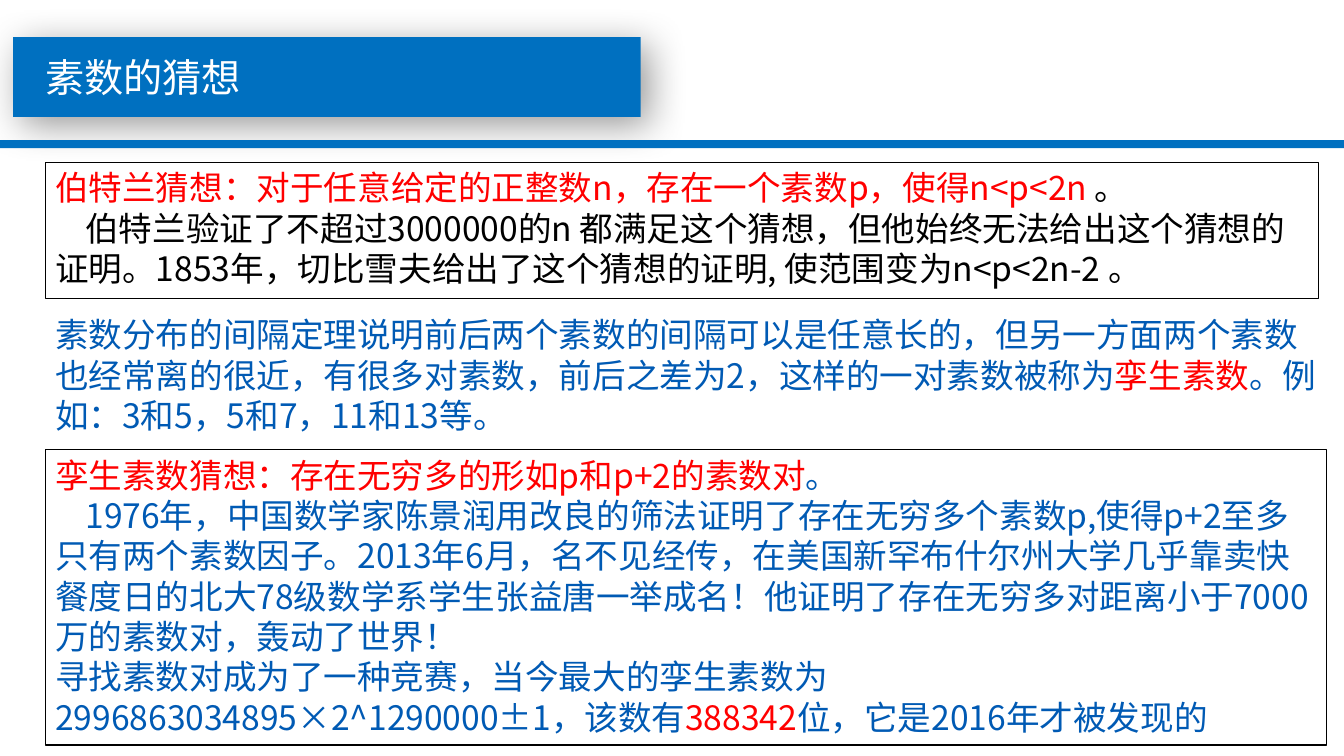
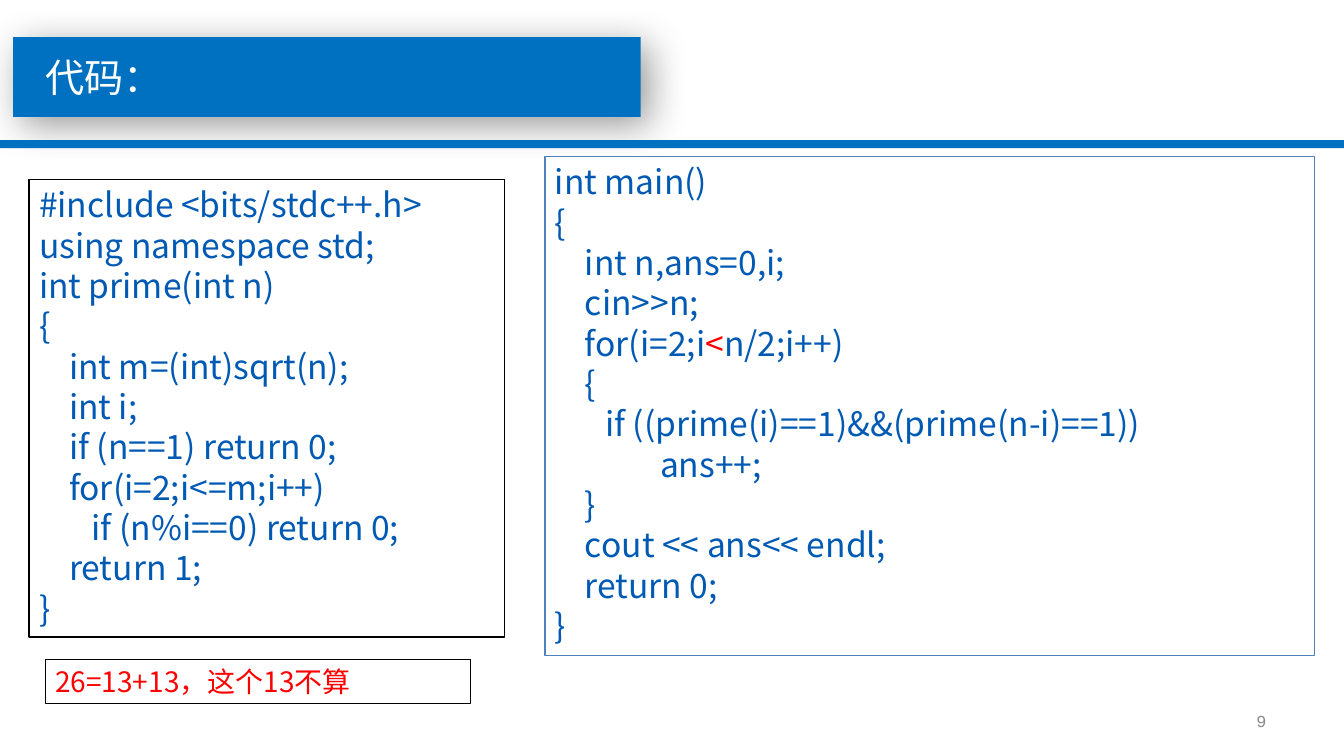
from lxml import etree
from pptx import Presentation
from pptx import util as u
from pptx.dml.color import RGBColor
from pptx.enum import shapes, text
from pptx.oxml.ns import qn

BAND = RGBColor(0x00, 0x70, 0xC0)
BLUE = RGBColor(0x00, 0x5A, 0xB4)
STEEL = RGBColor(0x4F, 0x81, 0xBD)
RED = RGBColor(0xFF, 0x00, 0x00)
BLACK = RGBColor(0x00, 0x00, 0x00)
WHITE = RGBColor(0xFF, 0xFF, 0xFF)
GREY = RGBColor(0x89, 0x89, 0x89)
SANS, MONO = "Noto Sans CJK SC", "Courier New"
LEFT, WIDE = 3.37, 95.35  # text margin and full text width, % of slide width
INDENT = u.Inches(0.3)

prs = Presentation()
prs.slide_width, prs.slide_height = u.Inches(13.34), u.Inches(7.5)


def add_rect(s, at, fill=None, line=None):
    """Add a rectangle placed in percent of the slide's width and height."""
    x, y, w, h = at
    sp = s.shapes.add_shape(
        shapes.MSO_SHAPE.RECTANGLE,
        int(prs.slide_width * x / 100), int(prs.slide_height * y / 100),
        int(prs.slide_width * w / 100), int(prs.slide_height * h / 100))
    sp.shadow.inherit = False
    for part, color in ((sp.fill, fill), (sp.line.fill, line)):
        if color is None:
            part.background()
        else:
            part.solid()
            part.fore_color.rgb = color
    if line is not None:
        sp.line.width = u.Pt(1)
    return sp


def add_text(s, at, paras, line=None, size=24, color=BLUE, font=SANS,
             align=text.PP_ALIGN.LEFT, indents=(), frame=None):
    """Add a text box; a run is a string or a (string, format) pair."""
    tf = add_rect(s, at, line=line).text_frame
    frame_format = {"word_wrap": True, "vertical_anchor": text.MSO_ANCHOR.TOP}
    for name, value in (frame_format | (frame or {})).items():
        setattr(tf, name, value)
    for i, runs in enumerate(paras):
        p = tf.paragraphs[0] if i == 0 else tf.add_paragraph()
        p.alignment, p.line_spacing = align, u.Pt(size * 1.2)
        if i in indents:
            p._p.get_or_add_pPr().set("indent", str(INDENT))
        for run in [runs] if isinstance(runs, str) else runs:
            words, own = (run, {}) if isinstance(run, str) else run
            r = p.add_run()
            r.text = words
            r.font.color.rgb = own.get("color", color)
            r.font.size = u.Pt(own.get("size", size))
            r.font.name = font
            etree.SubElement(r._r.get_or_add_rPr(), qn("a:ea"), typeface=font)


# Shared title band, rule and title
slides = []
for title in ("素数的猜想", "代码："):
    s = prs.slides.add_slide(prs.slide_layouts[6])
    slides.append(s)
    band = add_rect(s, (0.97, 4.93, 46.7, 10.53), fill=BAND)
    effects = band._element.spPr.find(qn("a:effectLst"))
    shadow = etree.SubElement(effects, qn("a:outerShdw"), blurRad=str(u.Pt(28)),
                              dist=str(u.Pt(8)), dir="2700000", algn="tl",
                              rotWithShape="0")
    tint = etree.SubElement(shadow, qn("a:srgbClr"), val=str(BLACK))
    etree.SubElement(tint, qn("a:alpha"), val="40000")
    add_rect(s, (0, 18.53, 100, 1.07), fill=BAND)
    add_text(s, (LEFT, 7.07, 42.88, 6.27), [title], size=28, color=WHITE,
             frame=dict.fromkeys(("margin_left", "margin_top", "margin_right",
                                  "margin_bottom"), 0))
conjectures, code = slides
red = {"color": RED}

# Slide 1: conjectures on primes
add_text(conjectures, (LEFT, 21.47, 94.75, 18), [
    [("伯特兰猜想：对于任意给定的正整数n，存在一个素数p，使得n<p<2n ", red), "。"],
    "伯特兰验证了不超过3000000的n 都满足这个猜想，但他始终无法给出这个猜想的证明。"
    "1853年，切比雪夫给出了这个猜想的证明, 使范围变为n<p<2n-2 。",
], line=BLACK, color=BLACK, indents=(1,))

add_text(conjectures, (LEFT, 40.93, WIDE, 17.47), [
    ["素数分布的间隔定理说明前后两个素数的间隔可以是任意长的，但另一方面两个素数"
     "也经常离的很近，有很多对素数，前后之差为2，这样的一对素数被称为",
     ("孪生素数", red), "。例如：3和5，5和7，11和13等。"],
])

add_text(conjectures, (LEFT, 59.47, WIDE, 39.07), [
    [("孪生素数猜想：存在无穷多的形如p和p+2的素数对", red), "。"],
    "1976年，中国数学家陈景润用改良的筛法证明了存在无穷多个素数p,使得p+2至多只有"
    "两个素数因子。2013年6月，名不见经传，在美国新罕布什尔州大学几乎靠卖快餐度日的"
    "北大78级数学系学生张益唐一举成名！他证明了存在无穷多对距离小于7000万的素数对，"
    "轰动了世界！",
    ["寻找素数对成为了一种竞赛，当今最大的孪生素数为2996863034895×2^1290000±1，该数有",
     ("388342", red), "位，它是2016年才被发现的"],
], line=BLACK, indents=(1,))

# Slide 2: code listings
add_text(code, (2.17, 23.73, 35.38, 60.53), [
    "#include <bits/stdc++.h>",
    "using namespace std;",
    "int prime(int n)",
    "{",
    "    int m=(int)sqrt(n);",
    "    int i;",
    "    if (n==1) return 0;",
    "    for(i=2;i<=m;i++)",
    "       if (n%i==0) return 0;",
    "    return 1;",
    "}",
], line=BLACK)

add_text(code, (40.55, 20.67, 57.27, 66), [
    "int main()",
    "{",
    "    int n,ans=0,i;",
    "    cin>>n;",
    ["    for(i=2;i", ("<", red), "n/2;i++)"],
    "    {",
    [("        ", {"size": 20}), "if ((prime(i)==1)&&(prime(n-i)==1))"],
    "              ans++;",
    "    }",
    "    cout << ans<< endl;",
    "    return 0;",
    "}",
], line=STEEL)

# Remark and page number
add_text(code, (LEFT, 87.2, 31.63, 5.87), ["26=13+13，这个13不算"],
         line=BLACK, size=20, color=RED)
add_text(code, (71.66, 92.67, 23.31, 5.33), ["9"], size=12, color=GREY,
         font=MONO, align=text.PP_ALIGN.RIGHT,
         frame={"vertical_anchor": text.MSO_ANCHOR.MIDDLE})

prs.save("out.pptx")
